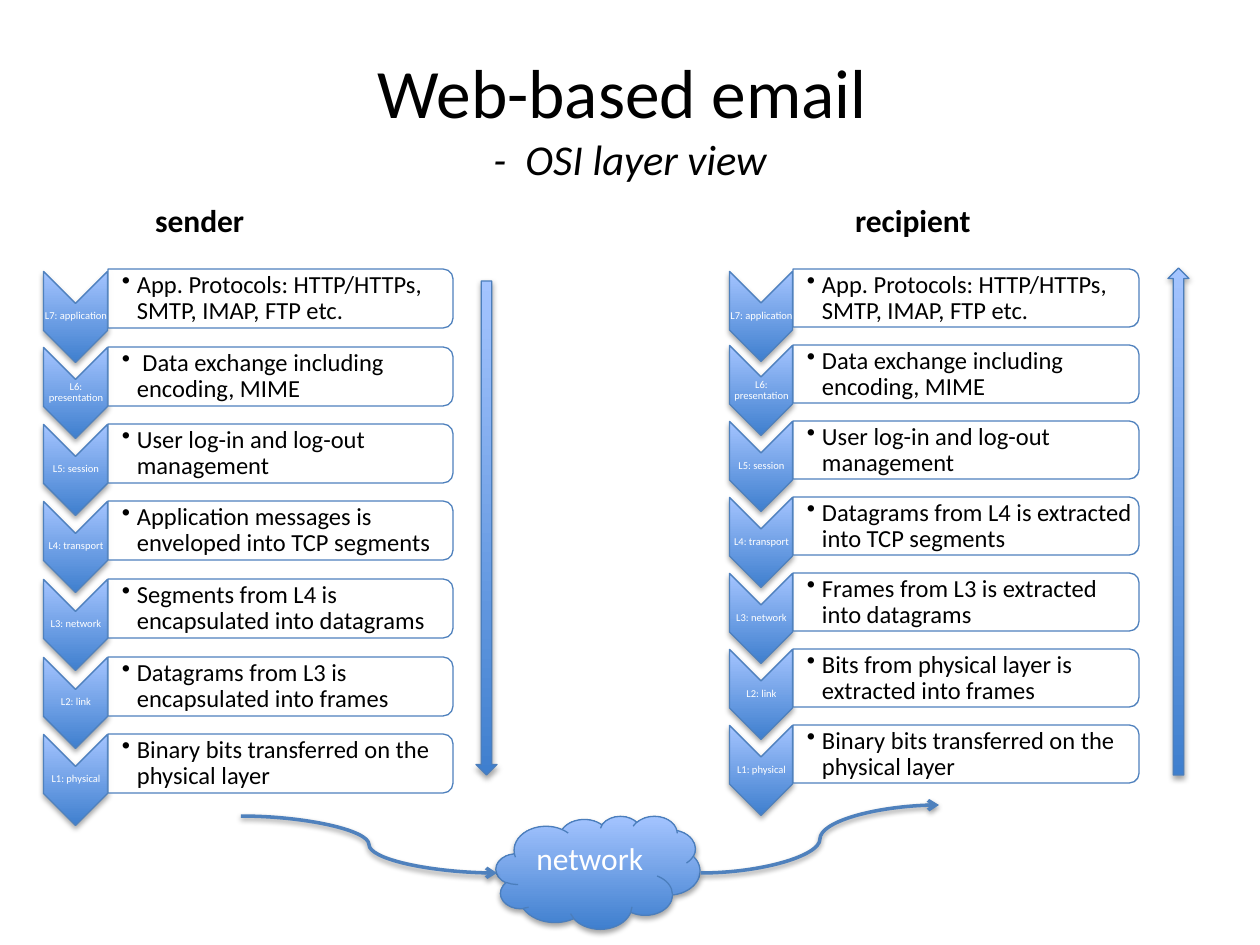
from typing import NamedTuple

from lxml.etree import SubElement
from pptx import Presentation
from pptx.dml.color import RGBColor
from pptx.enum.shapes import MSO_CONNECTOR as Connector, MSO_SHAPE as Preset
from pptx.enum.text import MSO_ANCHOR as Anchor, PP_ALIGN as Align
from pptx.oxml.ns import qn
from pptx.util import Pt

PX = 914400 / 126
FONT = "Calibri"
BLACK = RGBColor(0x00, 0x00, 0x00)
WHITE = RGBColor(0xFF, 0xFF, 0xFF)
BLUE = RGBColor(0x4F, 0x81, 0xBD)
EDGE = RGBColor(0x4B, 0x7E, 0xBC)
DEEP = RGBColor(0x3F, 0x7F, 0xCE)
PALE = RGBColor(0xA4, 0xC4, 0xFF)


class Box(NamedTuple):
    left: int
    top: int
    width: int
    height: int

    def emu(self) -> list[int]:
        return [px(length) for length in self]

    def before_quarter_turn(self) -> "Box":
        shift = (self.width - self.height) // 2
        return Box(self.left + shift, self.top - shift, self.height, self.width)


class Stack(NamedTuple):
    heading: str
    heading_left: int
    left: int
    chevron_width: int
    chevron_height: int
    bar_width: int
    bar_height: int
    span: int
    duties: tuple[str, ...]


class Flow(NamedTuple):
    start: tuple[int, int]
    end: tuple[int, int]


STACK_TOP = 269
LAYERS = ("L7: application", "L6: presentation", "L5: session", "L4: transport",
          "L3: network", "L2: link", "L1: physical")
APP_DUTY = "App. Protocols: HTTP/HTTPs, SMTP, IMAP, FTP etc."
SESSION_DUTY = "User log-in and log-out management"
PHYSICAL_DUTY = "Binary bits transferred on the physical layer"
STACKS = (
    Stack("sender", 142, 44, 64, 91, 345, 59, 465, (
        APP_DUTY,
        " Data exchange including encoding, MIME",
        SESSION_DUTY,
        "Application messages is enveloped into TCP segments",
        "Segments from L4 is encapsulated into datagrams",
        "Datagrams from L3 is encapsulated into frames",
        PHYSICAL_DUTY)),
    Stack("recipient", 842, 730, 63, 90, 346, 58, 456, (
        APP_DUTY,
        "Data exchange including encoding, MIME",
        SESSION_DUTY,
        "Datagrams from L4 is extracted into TCP segments",
        "Frames from L3 is extracted into datagrams",
        "Bits from physical layer is extracted into frames",
        PHYSICAL_DUTY)),
)
FLOWS = (Flow((241, 816), (497, 873)), Flow((701, 873), (939, 805)))


def px(length: float) -> int:
    return round(length * PX)


def cast_shadow(shape, opacity: int, distance: int) -> None:
    effects = SubElement(shape.element.spPr, qn("a:effectLst"))
    shadow = SubElement(effects, qn("a:outerShdw"), blurRad="40000",
                        dist=str(distance), dir="5400000", rotWithShape="0")
    color = SubElement(shadow, qn("a:srgbClr"), val=str(BLACK))
    SubElement(color, qn("a:alpha"), val=str(opacity * 1000))


def add_outlined(slide, preset: Preset, box: Box, edge: RGBColor, rotation: int = 0):
    shape = slide.shapes.add_shape(preset, *box.emu())
    shape.rotation = rotation
    shape.line.color.rgb = edge
    shape.line.width = Pt(0.75)
    return shape


def add_glossy(slide, preset: Preset, box: Box, edge: RGBColor = EDGE, rotation: int = 0):
    shape = add_outlined(slide, preset, box, edge, rotation)
    shape.fill.gradient()
    shape.fill.gradient_angle = 90
    for stop, color in zip(shape.fill.gradient_stops, (DEEP, PALE)):
        stop.color.rgb = color
    shape.element.spPr.find(qn("a:gradFill")).set("rotWithShape", "0")
    cast_shadow(shape, 35, 23000)
    return shape


def style(paragraph, size: float, color: RGBColor, bold: bool = False) -> None:
    font = paragraph.font
    font.name, font.size, font.bold = FONT, Pt(size), bold
    font.color.rgb = color


def add_text(slide, box: Box, text: str, size: float, color: RGBColor = BLACK,
             insets: tuple[int, int, int, int] = (13, 6, 13, 6),
             anchor: Anchor = Anchor.MIDDLE, bold: bool = False):
    frame = slide.shapes.add_textbox(*box.emu()).text_frame
    frame.word_wrap = True
    frame.vertical_anchor = anchor
    (frame.margin_left, frame.margin_top,
     frame.margin_right, frame.margin_bottom) = map(px, insets)
    paragraph = frame.paragraphs[0]
    paragraph.text = text
    style(paragraph, size, color, bold)
    return paragraph


def add_title(slide) -> None:
    title = add_text(slide, Box(63, 38, 1134, 157), "Web-based email ", 39.6)
    title.alignment = Align.CENTER
    title.add_line_break()
    subtitle = title.add_run()
    subtitle.text = "-  OSI layer view"
    subtitle.font.size = Pt(24.3)
    subtitle.font.italic = True


def add_layer(slide, stack: Stack, top: int, chevron_top: int, layer: str, duty: str) -> None:
    chevron = Box(stack.left, chevron_top, stack.chevron_width, stack.chevron_height)
    add_glossy(slide, Preset.CHEVRON, chevron.before_quarter_turn(), BLUE, 90)
    label = add_text(slide, Box(stack.left, chevron_top + 32, stack.chevron_width, 27),
                     layer, 6, WHITE, (0, 0, 0, 0))
    label.alignment = Align.CENTER
    label.line_spacing = 0.9

    bar = Box(stack.left + stack.chevron_width, top, stack.bar_width, stack.bar_height)
    panel = add_outlined(slide, Preset.ROUND_2_SAME_RECTANGLE,
                         bar.before_quarter_turn(), BLUE, 90)
    panel.fill.solid()
    panel.fill.fore_color.rgb = WHITE
    SubElement(panel.element.spPr.find(qn("a:solidFill"))[0], qn("a:alpha"), val="90000")
    panel.shadow.inherit = False

    task = add_text(slide, Box(bar.left, top + 3, bar.width - 2, 53), duty, 14,
                    insets=(14, 1, 1, 1))
    task.line_spacing = 0.9
    properties = task._p.get_or_add_pPr()
    properties.set("marL", str(px(15)))
    properties.set("indent", str(px(-15)))
    SubElement(properties, qn("a:buChar"), char="•")


def add_stack(slide, stack: Stack) -> None:
    add_text(slide, Box(stack.heading_left, 195, 197, 50), stack.heading, 18,
             anchor=Anchor.TOP, bold=True)
    for row, (layer, duty) in enumerate(zip(LAYERS, stack.duties)):
        top = STACK_TOP + round(stack.span * row / (len(LAYERS) - 1))
        add_layer(slide, stack, top, top + (2 if row == 0 else 0), layer, duty)


def add_flow(slide, flow: Flow) -> None:
    curve = slide.shapes.add_connector(Connector.CURVE, *map(px, flow.start + flow.end))
    curve.line.color.rgb = BLUE
    curve.line.width = Pt(2)
    SubElement(curve.element.spPr.find(qn("a:ln")), qn("a:tailEnd"), type="arrow")
    cast_shadow(curve, 38, 20000)


def main() -> None:
    deck = Presentation()
    deck.slide_width, deck.slide_height = px(1260), px(945)
    slide = deck.slides.add_slide(deck.slide_layouts[6])
    add_title(slide)
    for stack in STACKS:
        add_stack(slide, stack)

    cloud = add_glossy(slide, Preset.CLOUD, Box(496, 816, 204, 113)).text_frame
    cloud.vertical_anchor = Anchor.TOP
    network = cloud.paragraphs[0]
    network.text = "network"
    network.alignment = Align.LEFT
    style(network, 18, WHITE)

    for flow in FLOWS:
        add_flow(slide, flow)
    add_glossy(slide, Preset.DOWN_ARROW, Box(476, 281, 21, 494))
    add_glossy(slide, Preset.UP_ARROW, Box(1168, 268, 21, 507))
    deck.save("out.pptx")


if __name__ == "__main__":
    main()
